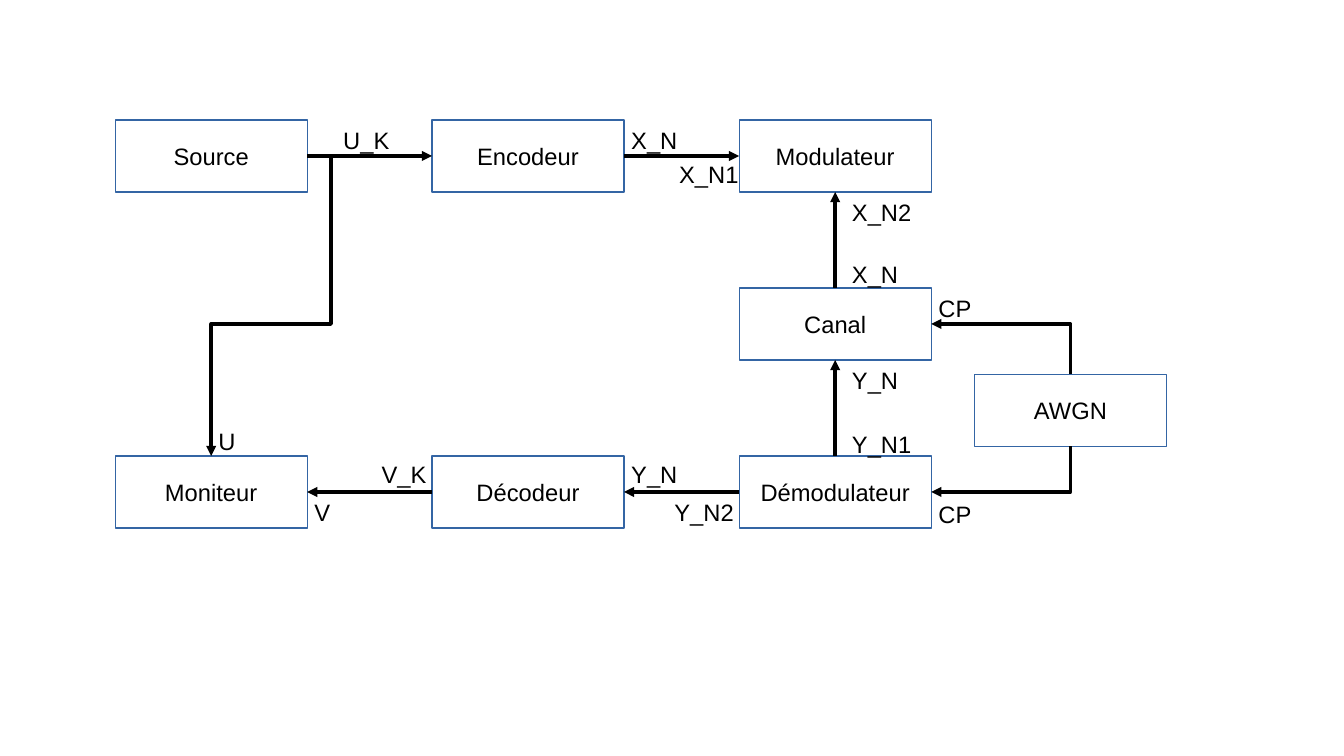
import dataclasses

import lxml.etree
import pptx
import pptx.dml.color
import pptx.enum.shapes
import pptx.enum.text
import pptx.oxml.ns
import pptx.util

qn = pptx.oxml.ns.qn
TOP, LEFT, BOTTOM, RIGHT = range(4)


@dataclasses.dataclass(frozen=True)
class Theme:
    font: str = "Arial"
    text_size: float = 14
    text: str = "000000"
    border: str = "3465A4"
    arrow: str = "000000"
    hairline: float = 0
    columns: float = 28
    rows: float = 15.75


class Diagram:
    """Style and current slide; lengths are columns and rows of the grid."""

    def __init__(self, deck, theme):
        self.theme = theme
        self.page = deck.slides.add_slide(deck.slide_layouts[6])
        self.cell_width = deck.slide_width / theme.columns
        self.cell_height = deck.slide_height / theme.rows

    def place(self, column, row, width, height):
        return [round(column * self.cell_width), round(row * self.cell_height),
                round(width * self.cell_width), round(height * self.cell_height)]

    @staticmethod
    def colour(value):
        return pptx.dml.color.RGBColor.from_string(value)

    @staticmethod
    def apply(target, values):
        for name, value in values.items():
            setattr(target, name, value)

    def outline(self, line, colour):
        line.color.rgb = self.colour(colour)
        line.width = pptx.util.Pt(self.theme.hairline)

    def add_text(self, shape, text, alignment, frame_format):
        frame = shape.text_frame
        self.apply(frame, {
            "word_wrap": True,
            "margin_left": pptx.util.Inches(0.1),
            "margin_right": pptx.util.Inches(0.1),
            "margin_top": pptx.util.Inches(0.05),
            "margin_bottom": pptx.util.Inches(0.05),
            **frame_format,
        })
        para = frame.paragraphs[0]
        para.alignment = alignment
        span = para.add_run()
        span.text = text
        self.apply(span.font, {"name": self.theme.font,
                               "size": pptx.util.Pt(self.theme.text_size)})
        span.font.color.rgb = self.colour(self.theme.text)

    def block(self, text, column, row, width=4, height=1.5):
        box = self.page.shapes.add_shape(
            pptx.enum.shapes.MSO_SHAPE.RECTANGLE,
            *self.place(column, row, width, height))
        box.shadow.inherit = False
        box.fill.background()
        self.outline(box.line, self.theme.border)
        self.add_text(box, text, pptx.enum.text.PP_ALIGN.CENTER,
                      {"vertical_anchor": pptx.enum.text.MSO_ANCHOR.MIDDLE})
        return box

    def label(self, text, column, row, width=2, height=0.8):
        box = self.page.shapes.add_textbox(*self.place(column, row, width, height))
        self.add_text(box, text, pptx.enum.text.PP_ALIGN.LEFT,
                      {"auto_size": pptx.enum.text.MSO_AUTO_SIZE.SHAPE_TO_FIT_TEXT})

    def arrow(self, start, start_side, end, end_side,
              geometry="straightConnector1", bends=(), tip="tailEnd"):
        arrow = self.page.shapes.add_connector(
            pptx.enum.shapes.MSO_CONNECTOR.STRAIGHT, 0, 0, 0, 0)
        arrow.begin_connect(start, start_side)
        arrow.end_connect(end, end_side)
        self.outline(arrow.line, self.theme.arrow)
        properties = arrow.element.spPr
        preset = properties.find(qn("a:prstGeom"))
        preset.set("prst", geometry)
        for number, share in enumerate(bends, 1):
            lxml.etree.SubElement(preset.find(qn("a:avLst")), qn("a:gd"),
                                  name=f"adj{number}", fmla=f"val {round(share * 100000)}")
        lxml.etree.SubElement(properties.find(qn("a:ln")), qn(f"a:{tip}"), type="triangle")
        lxml.etree.SubElement(properties, qn("a:effectLst"))


def main():
    deck = pptx.Presentation()
    deck.slide_width = pptx.util.Inches(11.02)
    deck.slide_height = pptx.util.Inches(6.2)
    diagram = Diagram(deck, Theme())

    # Processing blocks: three columns, rows at an equal pitch
    columns = (2.4, 9, 15.4)
    rows = [2.5 + 3.5 * step for step in range(3)]
    layout = {
        "Source": (0, 0), "Encodeur": (1, 0), "Modulateur": (2, 0),
        "Canal": (2, 1),
        "Démodulateur": (2, 2), "Décodeur": (1, 2), "Moniteur": (0, 2),
    }
    blocks = {name: diagram.block(name, columns[column], rows[row])
              for name, (column, row) in layout.items()}
    noise = diagram.block("AWGN", 20.3, 7.8)

    # Straight links of the chain
    for start, start_side, end, end_side in (
        ("Source", RIGHT, "Encodeur", LEFT),
        ("Encodeur", RIGHT, "Modulateur", LEFT),
        ("Canal", TOP, "Modulateur", BOTTOM),
        ("Démodulateur", TOP, "Canal", BOTTOM),
        ("Démodulateur", LEFT, "Décodeur", RIGHT),
        ("Décodeur", LEFT, "Moniteur", RIGHT),
    ):
        diagram.arrow(blocks[start], start_side, blocks[end], end_side)

    # Bent links: source to monitor, then noise to channel and demodulator
    diagram.arrow(blocks["Source"], RIGHT, blocks["Moniteur"], TOP,
                  "bentConnector4", (-0.25, 0.56))
    for name, side in (("Canal", TOP), ("Démodulateur", BOTTOM)):
        diagram.arrow(blocks[name], RIGHT, noise, side, "bentConnector2", tip="headEnd")

    # Signal names
    tall, wide = (2, 1.9), (3, 1.67)
    for text, column, row, *size in (
        ("U_K", 6.9, 2.5, *tall),
        ("X_N", 12.9, 2.5, *tall),
        ("X_N1", 13.9, 3.2, *tall),
        ("X_N2", 17.5, 4, *wide),
        ("X_N", 17.5, 5.28),
        ("Y_N", 17.5, 7.5),
        ("Y_N1", 17.5, 8.84, *wide),
        ("Y_N2", 13.8, 10.25, *wide),
        ("Y_N", 12.9, 9.45, *wide),
        ("V_K", 7.7, 9.45, *wide),
        ("V", 6.3, 10.25, *wide),
        ("U", 4.3, 8.76, *wide),
        ("CP", 19.3, 6),
        ("CP", 19.3, 10.28),
    ):
        diagram.label(text, column, row, *size)

    deck.save("out.pptx")


if __name__ == "__main__":
    main()
